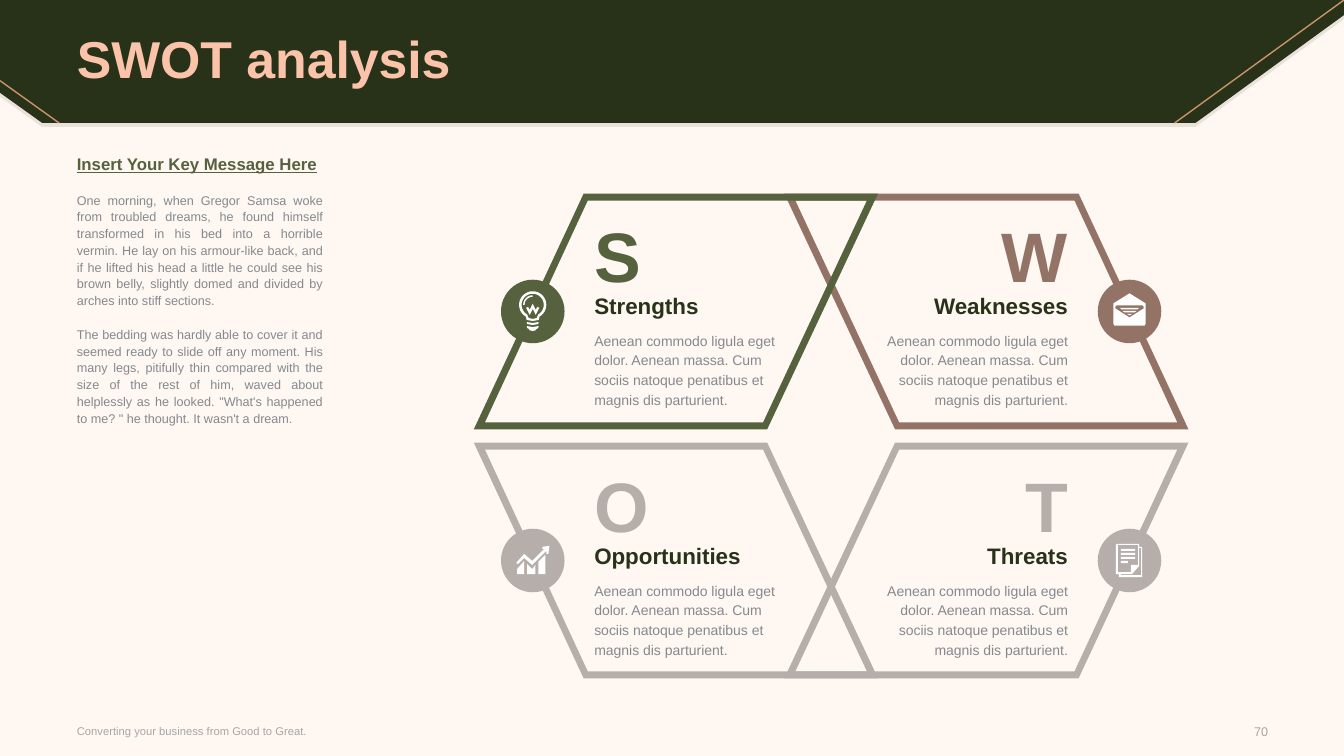
from dataclasses import dataclass
from math import cos, radians, sin

from lxml import etree
from pptx import Presentation
from pptx import util as u
from pptx.dml.color import RGBColor
from pptx.enum import shapes, text
from pptx.oxml import ns


@dataclass(frozen=True)
class Theme:
    font: str = "Arial"
    cream: str = "FFF7F2"
    forest: str = "283218"
    moss: str = "56613D"
    clay: str = "927365"
    stone: str = "B6AEAB"
    peach: str = "FBC4AA"
    copper: str = "C9936B"
    body: str = "85898F"
    muted: str = "A6A6A6"
    white: str = "FFFFFF"
    title_size: int = 37
    letter_size: int = 50
    heading_size: int = 16
    message_size: int = 12
    detail_size: int = 10
    body_size: int = 9
    footer_size: int = 8


THEME = Theme()
WIDTH, HEIGHT = u.Inches(13.33), u.Inches(7.5)
COLUMN, ROW = WIDTH / 100, HEIGHT / 100
LEFT, RIGHT = text.PP_ALIGN.LEFT, text.PP_ALIGN.RIGHT
TOP, MIDDLE = text.MSO_ANCHOR.TOP, text.MSO_ANCHOR.MIDDLE

MARGIN = 5.72
BANNER = [(0, 0), (100, 0), (100, 2), (88.95, 16.27), (3.15, 16.27), (0, 12.27)]
CENTRE = (61.84, 57.67)
FRAME = [
    [(-4.76, -0.87), (-26.59, -0.87), (-18.41, -32.07), (3.49, -32.07)],
    [(-25.76, -1.8), (-5.06, -1.8), (2.66, -31.13), (-18.11, -31.13)],
]
BADGE_OFFSET = (22.2, 16.47)
BADGE_SIZE = 4.73
CARD_WIDTH, CARD_REACH, CARD_STEP = 14.55, 17.62, 33.07

MESSAGE = "Insert Your Key Message Here"
STORY = [
    "One morning, when Gregor Samsa woke from troubled dreams, he found himself transformed in his bed "
    "into a horrible vermin. He lay on his armour-like back, and if he lifted his head a little he could "
    "see his brown belly, slightly domed and divided by arches into stiff sections.",
    "The bedding was hardly able to cover it and seemed ready to slide off any moment. His many legs, "
    "pitifully thin compared with the size of the rest of him, waved about helplessly as he looked. "
    "\"What's happened to me? \" he thought. It wasn't a dream.",
]
DETAIL = ("Aenean commodo ligula eget dolor. Aenean massa. Cum sociis natoque penatibus et "
          "magnis dis parturient.")


def arc(radius, start, end):
    """Return points on a circle around the middle of the bulb."""
    step = 10 if end > start else -10
    return [(radius * cos(radians(angle)), radius * sin(radians(angle)) - 6.5)
            for angle in range(start, end + step, step)]


def bar(left, top, right, bottom):
    """Return the corners of an upright rectangle."""
    return [(left, top), (right, top), (right, bottom), (left, bottom)]


BULB = [
    arc(13.5, 120, 420) + [(6, 8.5), (0, 9.5), (-6, 8.5)],
    arc(11, 120, 420) + [(4, 6.5), (0, 7.5), (-4, 6.5)],
    arc(9.5, 180, 270) + arc(8, 270, 180),
    [(-4.5, -4.5), (-3, -1.5), (0, -7.5), (3, -1.5), (4.5, -4.5), (6.5, -3.5), (3, 3.5),
     (0, -2.5), (-3, 3.5), (-6.5, -3.5)],
    [(-6, 10.5), (0, 11.5), (6, 10.5), (5.5, 12.5), (0, 13.5), (-5.5, 12.5)],
    [(-6, 14.5), (0, 15.5), (6, 14.5), (5.5, 16.5), (3.5, 17.5), (3.5, 18.5), (0, 19.5),
     (-3.5, 18.5), (-3.5, 17.5), (-5.5, 16.5)],
]
ENVELOPE = [
    [(0, -18), (16, -8), (16, 12), (15, 14), (-15, 14), (-16, 12), (-16, -8)],
    [(-14, -3), (-14, -5), (-13, -6), (13, -6), (14, -5), (14, -3), (0, 6)],
    [(-9.5, -3.5), (9.5, -3.5), (8, -2), (-8, -2)],
    [(-7, -0.5), (7, -0.5), (5, 1), (-5, 1)],
    [(-2.5, 2.5), (2.5, 2.5), (0, 4)],
]
GROWTH = [
    [(-15.5, 13.5), (-8.5, 13.5), (-8.5, 0.5), (-15.5, 8.5)],
    [(-5.5, 13.5), (2.5, 13.5), (2.5, 4.5), (-0.5, 8.5), (-5.5, 3.5)],
    [(5.5, 13.5), (12.5, 13.5), (12.5, -5.5), (5.5, 1.5)],
    [(9.5, -13.5), (16.5, -14.5), (15.5, -6.5), (13.5, -6.5), (13.5, -9.5), (-0.5, 4.5),
     (-8.5, -2.5), (-14.5, 3.5), (-16.5, 2.5), (-8.5, -6.5), (-0.5, 0.5), (11.5, -11.5), (9.5, -11.5)],
]
PAGES = [
    [(9.5, -13.5), (9.5, -16.5), (-13.5, -16.5), (-13.5, 13.5), (-10.5, 13.5), (-10.5, 16.5),
     (12.5, 16.5), (12.5, -13.5)],
    [(-11.5, 11.5), (-11.5, -15.5), (8.5, -15.5), (8.5, 4.5), (1.5, 4.5), (1.5, 11.5)],
    [(11.5, 14.5), (-8.5, 14.5), (-8.5, 13.5), (2.5, 13.5), (9.5, 5.5), (9.5, -12.5), (11.5, -12.5)],
    *[bar(-8.5, top, 5.5, top + 2) for top in (-11.5, -7.5, -3.5)],
    bar(-8.5, 0.5, -1.5, 2.5),
]
QUADRANTS = [
    ("W", "Weaknesses", THEME.clay, ENVELOPE, 1, -1),
    ("O", "Opportunities", THEME.stone, GROWTH, -1, 1),
    ("T", "Threats", THEME.stone, PAGES, 1, 1),
    ("S", "Strengths", THEME.moss, BULB, -1, -1),
]


def paint(shape, color):
    """Fill a shape flat, without outline or shadow."""
    shape.shadow.inherit = False
    shape.fill.solid()
    shape.fill.fore_color.rgb = RGBColor.from_string(color)
    shape.line.fill.background()


def add_outline(slide, contours, color, origin=(0, 0), scale=(COLUMN, ROW)):
    """Draw closed contours as one filled shape around an origin on the grid."""
    scaled = [[(round(x * 100), round(y * 100)) for x, y in contour] for contour in contours]
    builder = slide.shapes.build_freeform(*scaled[0][0], scale=(scale[0] / 100, scale[1] / 100))
    for index, contour in enumerate(scaled):
        if index:
            builder.move_to(*contour[0])
        builder.add_line_segments(contour[1:], close=True)
    shape = builder.convert_to_shape(round(origin[0] * COLUMN), round(origin[1] * ROW))
    paint(shape, color)
    return shape


def add_accent(slide, start, end):
    """Draw a thin copper line between two grid points."""
    line = slide.shapes.add_connector(shapes.MSO_CONNECTOR.STRAIGHT, *[
        round(value) for x, y in (start, end) for value in (x * COLUMN, y * ROW)])
    line.line.color.rgb = RGBColor.from_string(THEME.copper)
    line.line.width = u.Pt(1)
    etree.SubElement(line._element.spPr, ns.qn("a:effectLst"))


def set_frame(shape, box, anchor):
    """Place a text shape on the grid and clear its margins."""
    left, top, width, height = box
    shape.left, shape.top = round(left * COLUMN), round(top * ROW)
    shape.width, shape.height = round(width * COLUMN), round(height * ROW)
    frame = shape.text_frame
    frame.word_wrap, frame.auto_size = True, text.MSO_AUTO_SIZE.NONE
    frame.vertical_anchor = anchor
    frame.margin_left = frame.margin_right = frame.margin_top = frame.margin_bottom = 0
    return frame


def write(paragraph, words, size, color, bold=False, align=LEFT, spacing=None):
    """Add one formatted run to a paragraph."""
    paragraph.alignment, paragraph.line_spacing = align, spacing
    run = paragraph.add_run()
    run.text = words
    run.font.name, run.font.size, run.font.bold = THEME.font, u.Pt(size), bold
    run.font.color.rgb = RGBColor.from_string(color)
    return run


def add_label(slide, box, words, size, color, anchor=TOP, **style):
    """Add a text box that holds one paragraph."""
    frame = set_frame(slide.shapes.add_textbox(0, 0, 0, 0), box, anchor)
    write(frame.paragraphs[0], words, size, color, **style)


def add_banner(slide):
    """Draw the header band and set the title on it."""
    shade = add_outline(slide, [BANNER], THEME.forest, origin=(0, 0.53))
    color = shade._element.spPr.find(".//" + ns.qn("a:srgbClr"))
    etree.SubElement(color, ns.qn("a:alpha"), val="10000")
    add_outline(slide, [BANNER], THEME.forest)
    add_accent(slide, (100, 0), (87.4, 16.27))
    add_accent(slide, (0, 10.67), (4.4, 16.27))
    title = slide.shapes.title
    slide.shapes._spTree.append(title._element)
    frame = set_frame(title, (MARGIN, 0.4, 88.6, 15.6), MIDDLE)
    write(frame.paragraphs[0], "SWOT analysis", THEME.title_size, THEME.peach, bold=True, spacing=0.9)


def add_message(slide):
    """Add the key message and the story below it."""
    frame = set_frame(slide.shapes.add_textbox(0, 0, 0, 0), (MARGIN, 20.8, 18.3, 69.2), TOP)
    style = {"align": text.PP_ALIGN.JUSTIFY, "spacing": u.Pt(12)}
    heading = write(frame.paragraphs[0], MESSAGE, THEME.message_size, THEME.moss, bold=True, **style)
    heading.font.underline = True
    for words in STORY:
        paragraph = frame.add_paragraph()
        paragraph.space_before = u.Pt(12)
        write(paragraph, words, THEME.body_size, THEME.body, **style)


def add_quadrant(slide, letter, heading, color, icon, side, level):
    """Draw one mirrored frame with its badge and icon."""
    contours = [[(-side * x, -level * y) for x, y in contour] for contour in FRAME]
    add_outline(slide, contours, color, origin=CENTRE)
    middle = (CENTRE[0] + side * BADGE_OFFSET[0], CENTRE[1] + level * BADGE_OFFSET[1])
    size = round(BADGE_SIZE * COLUMN)
    badge = slide.shapes.add_shape(
        shapes.MSO_SHAPE.OVAL, round(middle[0] * COLUMN - size / 2),
        round(middle[1] * ROW - size / 2), size, size)
    paint(badge, color)
    add_outline(slide, icon, THEME.white, origin=middle, scale=(size / 63, size / 63))


def add_card(slide, letter, heading, color, icon, side, level):
    """Write the letter, heading and detail of one quadrant."""
    left = CENTRE[0] + (CARD_REACH - CARD_WIDTH if side > 0 else -CARD_REACH)
    align = RIGHT if side > 0 else LEFT
    drop = CARD_STEP if level > 0 else 0
    for top, height, words, size, tone, bold, spacing in (
            (43.6, 10.53, DETAIL, THEME.detail_size, THEME.body, False, u.Pt(14)),
            (38.67, 3.6, heading, THEME.heading_size, THEME.forest, True, None),
            (28.13, 11.2, letter, THEME.letter_size, color, True, None)):
        add_label(slide, (left, top + drop, CARD_WIDTH, height), words, size, tone,
                  bold=bold, align=align, spacing=spacing)


def main():
    """Build the slide and save it."""
    presentation = Presentation()
    presentation.slide_width, presentation.slide_height = WIDTH, HEIGHT
    slide = presentation.slides.add_slide(presentation.slide_layouts[5])
    slide.background.fill.solid()
    slide.background.fill.fore_color.rgb = RGBColor.from_string(THEME.cream)
    add_banner(slide)
    add_message(slide)
    add_label(slide, (MARGIN, 94.93, 39.2, 3.47), "Converting your business from Good to Great.",
              THEME.footer_size, THEME.muted, anchor=MIDDLE)
    add_label(slide, (89.65, 95.07, 4.7, 3.47), "70", THEME.body_size, THEME.muted,
              anchor=MIDDLE, align=RIGHT)
    for add_part in (add_quadrant, add_card):
        for quadrant in QUADRANTS:
            add_part(slide, *quadrant)
    presentation.save("out.pptx")


if __name__ == "__main__":
    main()
